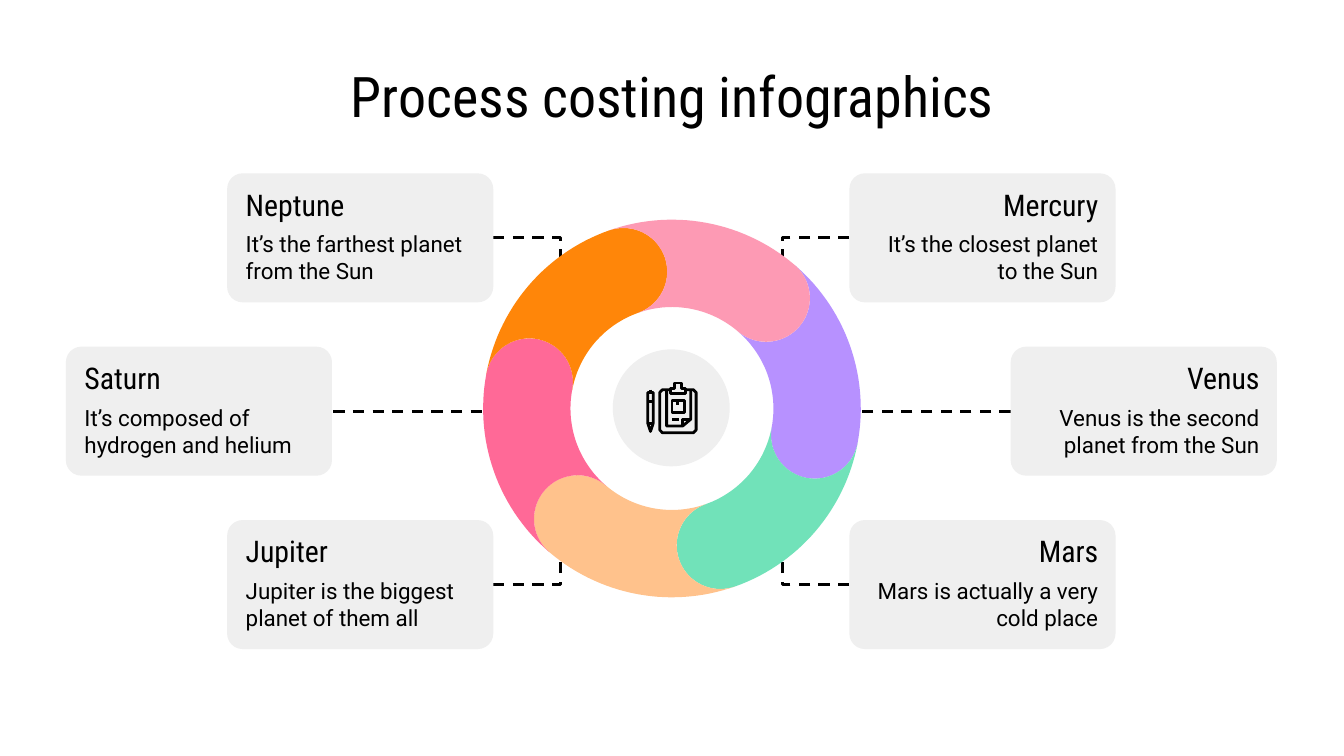
"""Build the process costing slide: a six-part ring with a labelled card for each part."""
from math import cos, radians, sin

from lxml.etree import SubElement
from pptx import Presentation
from pptx.dml.color import RGBColor
from pptx.enum.dml import MSO_LINE
from pptx.enum.shapes import MSO_CONNECTOR, MSO_SHAPE
from pptx.enum.text import MSO_ANCHOR, PP_ALIGN
from pptx.oxml.ns import qn
from pptx.util import Inches, Pt

BLACK, GREY = "000000", "EFEFEF"
CENTER_X, CENTER_Y = 5, 3.04
MID_RADIUS, CAP_RADIUS = 1.08, 0.325
CARD_WIDTH, CARD_HEIGHT = 1.98, 0.96

presentation = Presentation()
presentation.slide_width = Inches(10)
presentation.slide_height = Inches(5.625)
slide = presentation.slides.add_slide(presentation.slide_layouts[6])
shapes = slide.shapes


def paint(shape, fill=None, line=None):
    shape.shadow.inherit = False
    if fill:
        shape.fill.solid()
        shape.fill.fore_color.rgb = RGBColor.from_string(fill)
    else:
        shape.fill.background()
    if line:
        shape.line.color.rgb = RGBColor.from_string(line)
        shape.line.width = Pt(1.5)
    else:
        shape.line.fill.background()


def write(text, left, top, width, height, size, font="Roboto", align=PP_ALIGN.LEFT):
    frame = shapes.add_textbox(Inches(left), Inches(top), Inches(width), Inches(height)).text_frame
    frame.word_wrap = True
    frame.vertical_anchor = MSO_ANCHOR.MIDDLE
    frame.margin_left = frame.margin_right = frame.margin_top = frame.margin_bottom = Inches(0.1)
    paragraph = frame.paragraphs[0]
    paragraph.alignment = align
    run = paragraph.add_run()
    run.text = text
    run.font.size = Pt(size)
    run.font.name = font
    run.font.color.rgb = RGBColor.from_string(BLACK)


write("Process costing infographics", 0.5, 0.45, 9.01, 0.52, size=30,
      font="Roboto Condensed", align=PP_ALIGN.CENTER)

hub = shapes.add_shape(MSO_SHAPE.OVAL, Inches(4.56), Inches(2.6), Inches(0.87), Inches(0.87))
paint(hub, GREY)

leaders = [
    (6.32, 1.77, 5.82, 2.24),
    (7.52, 3.06, 6.16, 3.06),
    (6.32, 4.35, 5.82, 3.88),
    (3.67, 4.35, 4.17, 3.88),
    (2.48, 3.06, 3.83, 3.06),
    (3.67, 1.77, 4.17, 2.24),
]
icon_strokes = [
    (5.04, 2.98, 5.04, 3.01),
    (5, 3.12, 5.05, 3.12),
    (4.82, 2.99, 4.86, 2.99),
    (4.82, 3.15, 4.86, 3.15),
    (4.84, 2.9, 4.84, 2.92),
]
for stroke in leaders + icon_strokes:
    x1, y1, x2, y2 = stroke
    bent = x1 != x2 and y1 != y2
    kind = MSO_CONNECTOR.ELBOW if bent else MSO_CONNECTOR.STRAIGHT
    connector = shapes.add_connector(kind, Inches(x1), Inches(y1), Inches(x2), Inches(y2))
    connector.line.color.rgb = RGBColor.from_string(BLACK)
    connector.line.width = Pt(1.5)
    if stroke in leaders:
        connector.line.dash_style = MSO_LINE.DASH
    properties = connector.element.spPr
    if bent:
        properties.find(qn("a:prstGeom")).set("prst", "bentConnector2")
    SubElement(properties, qn("a:effectLst"))

outlines = []
segment_colors = ["B791FF", "71E2B9", "FFC28C", "FF6997", "FF8609", "FD9AB4"]
for index, color in enumerate(segment_colors):
    tail = 10.5 + 60 * (index - 1)
    head = tail + 60
    sweep = [tail + 2 * step for step in range(31)]
    outer, inner = MID_RADIUS + CAP_RADIUS, MID_RADIUS - CAP_RADIUS
    outer_arc = [(CENTER_X + outer * cos(radians(a)), CENTER_Y + outer * sin(radians(a)))
                 for a in sweep]
    inner_arc = [(CENTER_X + inner * cos(radians(a)), CENTER_Y + inner * sin(radians(a)))
                 for a in reversed(sweep)]
    head_cap, tail_cap = [
        [(CENTER_X + MID_RADIUS * cos(radians(end)) + CAP_RADIUS * cos(radians(end + turn)),
          CENTER_Y + MID_RADIUS * sin(radians(end)) + CAP_RADIUS * sin(radians(end + turn)))
         for turn in range(0, 181, 5)]
        for end in (head, tail)
    ]
    outlines.append((outer_arc + head_cap + inner_arc + tail_cap[::-1], color, None, True))

board = [(4.93, 2.9), (5.16, 2.9), (5.18, 2.92), (5.18, 3.2), (5.16, 3.22), (4.93, 3.22),
         (4.91, 3.2), (4.91, 2.92)]
sheet = [(4.96, 2.9), (4.96, 3.17), (5.08, 3.17), (5.14, 3.12), (5.14, 2.9)]
fold = [(5.08, 3.17), (5.08, 3.12), (5.14, 3.12)]
clip = [(4.99, 2.93), (5.1, 2.93), (5.1, 2.89), (5.07, 2.89), (5.07, 2.85), (5.02, 2.85),
        (5.02, 2.89), (4.99, 2.89)]
parcel = [(5, 2.98), (5.09, 2.98), (5.09, 3.07), (5, 3.07)]
pencil = [(4.82, 2.92), (4.86, 2.92), (4.86, 3.15), (4.84, 3.21), (4.82, 3.15)]
outlines += [
    (board, None, BLACK, True),
    (sheet, None, BLACK, False),
    (fold, None, BLACK, False),
    (clip, GREY, BLACK, True),
    (parcel, None, BLACK, True),
    (pencil, None, BLACK, True),
]
for points, fill, line, closed in outlines:
    corners = [(Inches(x), Inches(y)) for x, y in points]
    builder = shapes.build_freeform(*corners[0])
    builder.add_line_segments(corners[1:], close=closed)
    paint(builder.convert_to_shape(), fill, line)

cards = [
    ("Neptune", "It’s the farthest planet from the Sun", 1.69, 1.29, PP_ALIGN.LEFT),
    ("Saturn", "It’s composed of hydrogen and helium", 0.49, 2.58, PP_ALIGN.LEFT),
    ("Jupiter", "Jupiter is the biggest planet of them all", 1.69, 3.87, PP_ALIGN.LEFT),
    ("Mercury", "It’s the closest planet to the Sun", 6.32, 1.29, PP_ALIGN.RIGHT),
    ("Venus", "Venus is the second planet from the Sun", 7.52, 2.58, PP_ALIGN.RIGHT),
    ("Mars", "Mars is actually a very cold place", 6.32, 3.87, PP_ALIGN.RIGHT),
]
for planet, fact, left, top, align in cards:
    card = shapes.add_shape(MSO_SHAPE.ROUNDED_RECTANGLE, Inches(left), Inches(top),
                            Inches(CARD_WIDTH), Inches(CARD_HEIGHT))
    card.adjustments[0] = 0.12
    paint(card, GREY)
    write(planet, left + 0.04, top + 0.08, 1.91, 0.3, size=16,
          font="Roboto Condensed", align=align)
    write(fact, left + 0.04, top + 0.38, 1.91, 0.49, size=12, align=align)

presentation.save("out.pptx")
